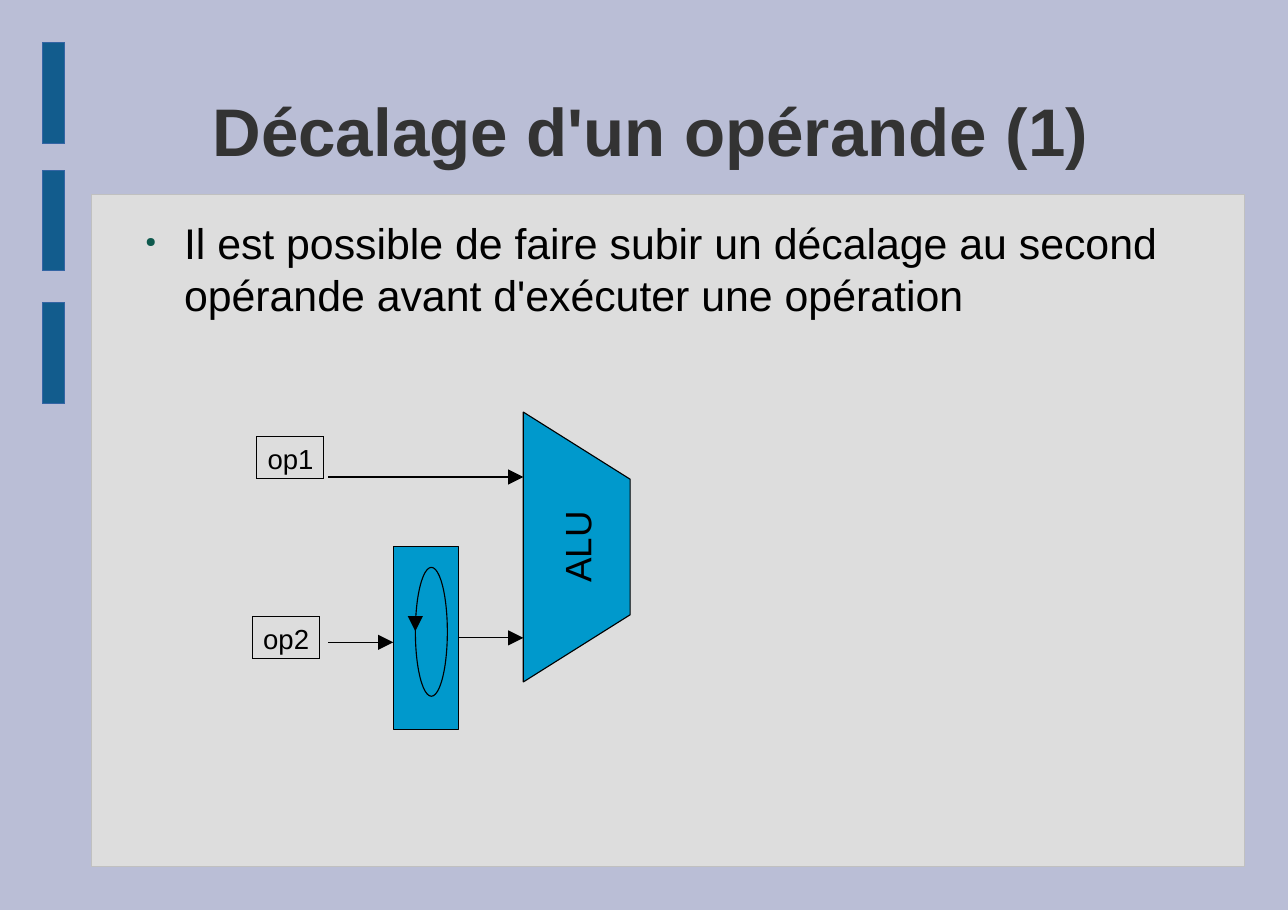
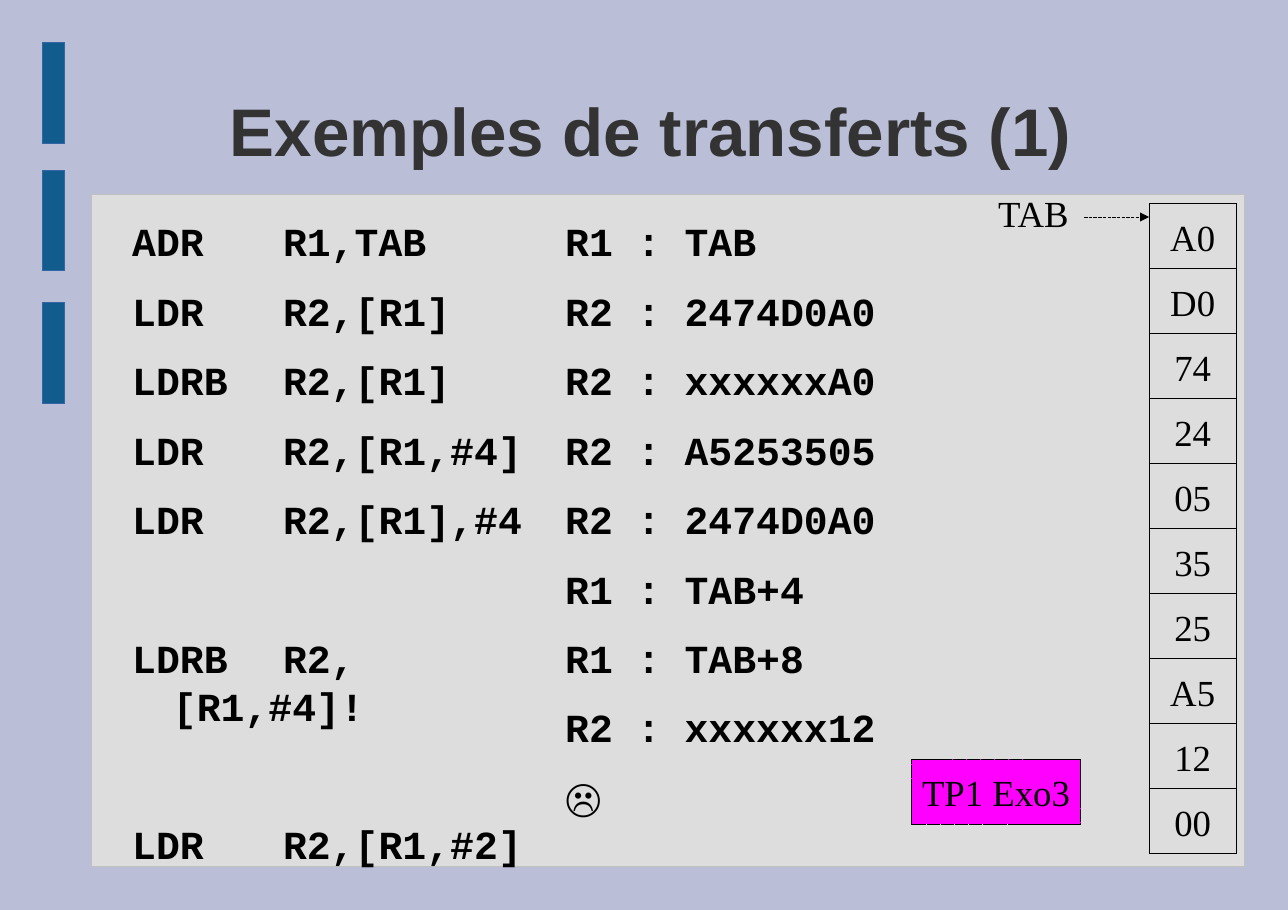
from lxml import etree
from pptx import Presentation
from pptx import util as u
from pptx.dml.color import RGBColor
from pptx.enum import dml, shapes, text
from pptx.oxml.ns import qn

COLORS = {
    "background": "BABED6", "panel": "DDDDDD", "panel_edge": "C0C0C0",
    "bar": "125C8D", "bar_edge": "3465A4", "title": "333333",
    "ink": "000000", "bullet": "0E594D", "unit": "0099CC", "exercise": "FF00FF",
}
SANS, CODE, SERIF = "Arial", "Courier New", "Times New Roman"
RECT, OVAL = shapes.MSO_SHAPE.RECTANGLE, shapes.MSO_SHAPE.OVAL
CENTER, MIDDLE = text.PP_ALIGN.CENTER, text.MSO_ANCHOR.MIDDLE
NO_INSETS = (0, 0, 0, 0)
HAIRLINE = 0.01
CODE_FORMAT = dict(font=CODE, size=26, bold=True, after=14.2,
                   indent=0.37, hanging=0.37, tab=1)


def rgb(name):
    return RGBColor.from_string(COLORS[name])


def sub(parent, tag, **attrs):
    return etree.SubElement(parent, qn(tag), **attrs)


def set_marks(p, indent, hanging, tab, bullet):
    pPr = p._p.get_or_add_pPr()
    if indent:
        pPr.set("marL", str(u.Inches(indent)))
        pPr.set("indent", str(-u.Inches(hanging)))
    if bullet:
        sub(sub(pPr, "a:buClr"), "a:srgbClr", val=COLORS["bullet"])
        sub(pPr, "a:buSzPct", val="32000")
        sub(pPr, "a:buChar", char=bullet)
    else:
        sub(pPr, "a:buNone")
    if tab:
        pPr.set("defTabSz", str(u.Inches(tab)))
        sub(sub(pPr, "a:tabLst"), "a:tab", pos=str(u.Inches(tab)), algn="l")


def write(sp, lines, font=SANS, size=24, color="ink", bold=False, align=None,
          anchor=text.MSO_ANCHOR.TOP, insets=NO_INSETS, wrap=True, after=0,
          indent=0, hanging=0, tab=0, bullet=None, gaps=None):
    tf = sp.text_frame
    tf.word_wrap = wrap
    tf.vertical_anchor = anchor
    tf.margin_left, tf.margin_top, tf.margin_right, tf.margin_bottom = map(u.Inches, insets)
    for i, line in enumerate(lines):
        p = tf.add_paragraph() if i else tf.paragraphs[0]
        set_marks(p, indent, hanging, tab, bullet)
        p.alignment = align or text.PP_ALIGN.LEFT
        p.space_after = u.Pt(after)
        if gaps and i in gaps:
            p.space_before = u.Pt(gaps[i])
        r = p.add_run()
        r.text = line
        r.font.name = SANS if line == "☹" else font
        r.font.size = u.Pt(size)
        r.font.bold = bold
        r.font.color.rgb = rgb(color)
    return sp


def add_text(s, x, y, w, h, lines, **fmt):
    return write(s.shapes.add_textbox(*map(u.Inches, (x, y, w, h))), lines, **fmt)


def style_line(sp, line, width, dash):
    sp.line.color.rgb = rgb(line)
    sp.line.width = u.Pt(width)
    if dash:
        sp.line.dash_style = dml.MSO_LINE.SQUARE_DOT


def style(sp, fill=None, line="ink", width=HAIRLINE, dash=False):
    sp.shadow.inherit = False
    if fill:
        sp.fill.solid()
        sp.fill.fore_color.rgb = rgb(fill)
    else:
        sp.fill.background()
    style_line(sp, line, width, dash)
    return sp


def add_box(s, x, y, w, h, kind=RECT, **look):
    return style(s.shapes.add_shape(kind, *map(u.Inches, (x, y, w, h))), **look)


def add_arrow(s, x1, y1, x2, y2, width=0.75, dash=False, head="lg"):
    cx = s.shapes.add_connector(shapes.MSO_CONNECTOR.STRAIGHT,
                                *map(u.Inches, (x1, y1, x2, y2)))
    style_line(cx, "ink", width, dash)
    sub(cx.line._get_or_add_ln(), "a:tailEnd", type="triangle", w=head, len=head)
    sub(cx._element.spPr, "a:effectLst")
    return cx


def add_polygon(s, points, **look):
    pts = [(u.Inches(x), u.Inches(y)) for x, y in points]
    fb = s.shapes.build_freeform(*pts[0])
    fb.add_line_segments(pts[1:], close=True)
    return style(fb.convert_to_shape(), **look)


def add_slide(prs, title):
    s = prs.slides.add_slide(prs.slide_layouts[6])
    s.background.fill.solid()
    s.background.fill.fore_color.rgb = rgb("background")
    add_box(s, 0.83, 1.77, 10.47, 6.1, fill="panel", line="panel_edge")
    for y in (0.39, 1.55, 2.75):
        add_box(s, 0.39, y, 0.2, 0.91, fill="bar", line="bar_edge")
    add_text(s, 0.79, 0.59, 10.24, 1.18, [title], size=44, color="title",
             bold=True, align=CENTER, anchor=MIDDLE)
    return s


def shift_slide(prs):
    s = add_slide(prs, "Décalage d'un opérande (1)")
    add_text(s, 1.2, 1.97, 9.31, 5.32,
             ["Il est possible de faire subir un décalage au second opérande "
              "avant d'exécuter une opération"],
             size=28, after=14.2, indent=0.47, hanging=0.35, bullet="●")
    unit = dict(fill="unit", width=0.75)
    alu = add_polygon(s, [(4.75, 6.19), (4.75, 3.74), (5.72, 4.35), (5.72, 5.58)], **unit)
    write(alu, ["ALU"], align=CENTER, anchor=MIDDLE, wrap=False)
    alu.text_frame._txBody.bodyPr.set("vert", "vert270")
    shifter = add_box(s, 3.57, 4.96, 0.59, 1.66, **unit)
    add_box(s, 3.77, 5.15, 0.29, 1.17, kind=OVAL, **unit)
    add_arrow(s, 2.98, 4.33, 4.75, 4.33)
    add_arrow(s, 4.16, 5.79, 4.75, 5.79).begin_connect(shifter, 3)
    add_arrow(s, 3.77, 5.64, 3.77, 5.73)
    add_arrow(s, 2.98, 5.83, 3.57, 5.83)
    for name, x, y in (("op1", 2.33, 3.96), ("op2", 2.29, 5.6)):
        write(add_box(s, x, y, 0.61, 0.38), [name], size=18, wrap=False,
              insets=(0.1, 0.05, 0.1, 0.05))


def transfer_slide(prs):
    s = add_slide(prs, "Exemples de transferts (1)")
    add_text(s, 1.2, 1.97, 3.73, 5.32,
             ["ADR\tR1,TAB", "LDR\tR2,[R1]", "LDRB\tR2,[R1]", "LDR\tR2,[R1,#4]",
              "LDR\tR2,[R1],#4", "LDRB\tR2,[R1,#4]!", "LDR\tR2,[R1,#2]"],
             gaps={5: 45.3, 6: 45.3}, **CODE_FORMAT)
    add_text(s, 5.13, 1.97, 3.33, 5.32,
             ["R1 : TAB", "R2 : 2474D0A0", "R2 : xxxxxxA0", "R2 : A5253505",
              "R2 : 2474D0A0", "R1 : TAB+4", "R1 : TAB+8", "R2 : xxxxxx12", "☹"],
             **CODE_FORMAT)
    label = dict(font=SERIF, align=CENTER, anchor=MIDDLE, wrap=False)
    for i, value in enumerate("A0 D0 74 24 05 35 25 A5 12 00".split()):
        write(add_box(s, 10.43, 1.85 + 0.59 * i, 0.79, 0.59), [value], **label)
    add_text(s, 9.06, 1.73, 0.79, 0.46, ["TAB"], font=SERIF)
    add_arrow(s, 9.84, 1.97, 10.43, 1.97, width=HAIRLINE, dash=True, head="med")
    write(add_box(s, 8.27, 6.89, 1.54, 0.59, fill="exercise", dash=True),
          ["TP1 Exo3"], **label)


def main():
    prs = Presentation()
    prs.slide_width, prs.slide_height = u.Inches(11.69), u.Inches(8.26)
    shift_slide(prs)
    transfer_slide(prs)
    prs.save("out.pptx")


if __name__ == "__main__":
    main()
